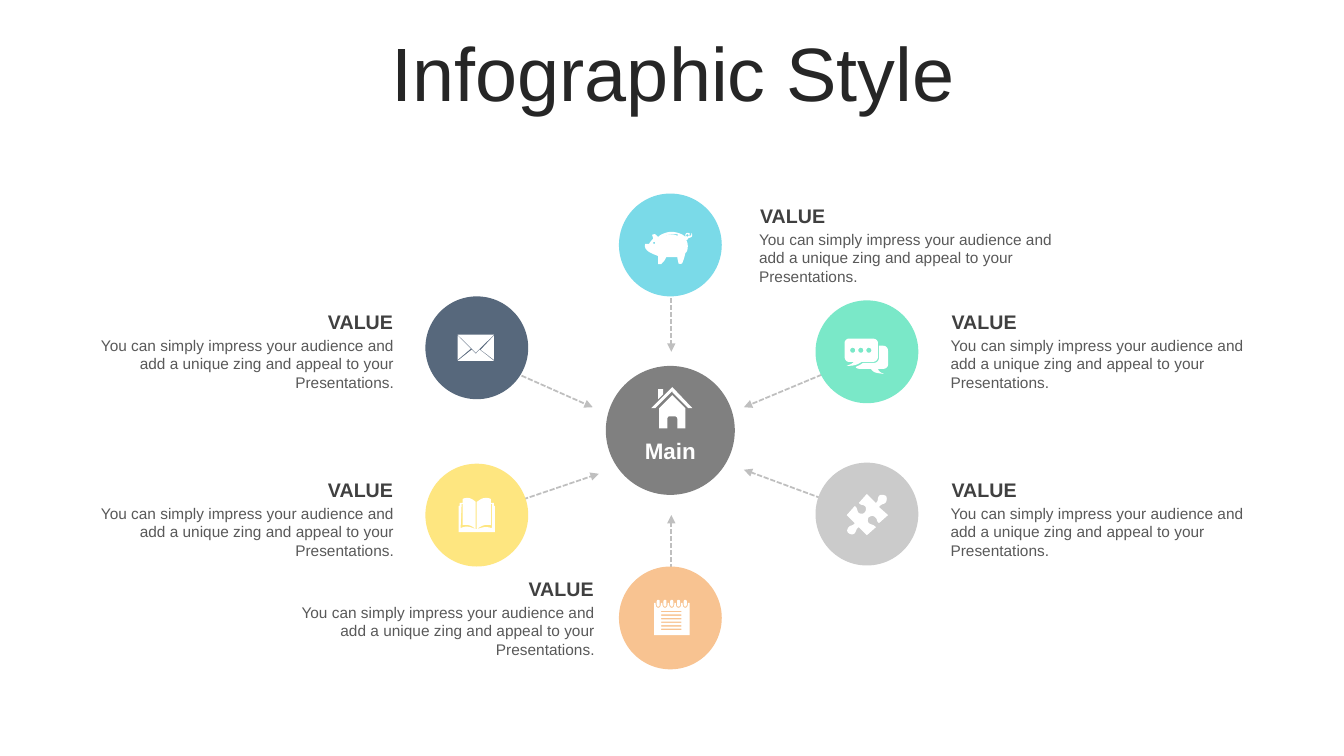
from lxml import etree
from pptx import Presentation, util as u
from pptx.dml.color import RGBColor
from pptx.enum import dml, shapes, text
from pptx.oxml.ns import qn

# Grid: square cells of a tenth of an inch
CELL = u.Inches(0.1)
COLS, ROWS = 133.33, 75
DISC, HUB = 10.2, 12.8
NOTE = ("You can simply impress your audience and add a unique zing "
        "and appeal to your Presentations.")
LEFT, MID, RIGHT = text.PP_ALIGN.LEFT, text.PP_ALIGN.CENTER, text.PP_ALIGN.RIGHT


def cells(*nums):
    return [round(n * CELL) for n in nums]


def hue(code):
    return RGBColor.from_string(code)


def paint(shape, code):
    shape.shadow.inherit = False
    shape.fill.solid()
    shape.fill.fore_color.rgb = hue(code)
    shape.line.fill.background()


def style(para, size, code, bold=False, align=LEFT):
    para.alignment = align
    font = para.font
    font.name, font.size, font.bold = "Arial", u.Pt(size), bold
    font.color.rgb = hue(code)


def write(slide, box, words, **form):
    frame = slide.shapes.add_textbox(*cells(*box)).text_frame
    frame.margin_left = frame.margin_right = 0
    frame.margin_top = frame.margin_bottom = 0
    frame.word_wrap = True
    frame.auto_size = text.MSO_AUTO_SIZE.SHAPE_TO_FIT_TEXT
    frame.text = words
    style(frame.paragraphs[0], **form)


def disc(slide, left, top, size, code):
    oval = slide.shapes.add_shape(shapes.MSO_SHAPE.OVAL,
                                  *cells(left, top, size, size))
    paint(oval, code)


# Icon outlines: M starts a closed loop, L is a line, C is a curve;
# units are tenths of a cell
def ring(x, y, r):
    k = 0.55 * r
    return (f"M {x - r} {y} C {x - r} {y - k} {x - k} {y - r} {x} {y - r} "
            f"{x + k} {y - r} {x + r} {y - k} {x + r} {y} "
            f"{x + r} {y + k} {x + k} {y + r} {x} {y + r} "
            f"{x - k} {y + r} {x - r} {y + k} {x - r} {y} ")


def notepad():
    sheet, rest = "M 0 3 ", ""
    for i in range(5):
        mid = 4 + 6.7 * i
        a, b, c, d = mid - 2.5, mid + 2.5, mid - 1.5, mid + 1.5
        sheet += f"L {a} 3 {a} 5 C {a} 9 {b} 9 {b} 5 L {b} 3 "
        rest += (f"M {c} 1.5 C {c} -0.5 {d} -0.5 {d} 1.5 "
                 f"L {d} 5 C {d} 7.5 {c} 7.5 {c} 5 ")
    for i in range(6):
        y = 11 + 3.55 * i
        rest += f"M 7 {y} L 27 {y} 27 {y + 1.4} 7 {y + 1.4} "
    return sheet + "L 35 3 35 35 0 35 " + rest


MAIL = ("M 22 15 L 36 26 0 26 14 15 18 19 M 36 1 L 36 25 23 15 "
        "M 0 1 L 13 14 0 25 M 0 0 L 36 0 18 18")
HOUSE = ("M 21 8 L 34 21 34 41 26 41 26 32 C 26 30 25 29 23 29 L 18 29 "
         "C 17 29 16 30 16 32 L 16 41 8 41 8 21 M 7 2 L 12 2 12 7 7 12 "
         "M 21 0 L 41 21 37 21 21 5 M 21 0 L 21 4 4 21 0 21")
CHAT = ("M 34 7 L 38 7 C 41 7 43 9 43 12 L 43 26 C 43 28 41 30 38 30 "
        "L 33 30 C 34 32 34 33 39 35 31 34 29 34 26 30 L 15 30 "
        "C 13 30 11 29 11 28 13 27 16 26 18 24 L 29 24 "
        "C 32 24 34 22 34 19 M 4 0 L 28 0 C 31 0 33 2 33 4 L 33 18 "
        "C 33 21 31 23 28 23 L 17 23 C 12 26 10 27 2 27 7 25 7 25 9 23 "
        "L 4 23 C 2 23 0 21 0 18 L 0 4 C 0 2 2 0 4 0 "
        + "".join(ring(x, 11.5, 2.5) for x in (8, 16, 24)))
BOOK = ("M 17 31 L 18 31 C 24 29 27 28 33 30 L 33 6 32 6 32 27 "
        "C 27 26 23 27 18 31 L 18 4 C 21 2 23 0 27 0 28 0 30 0 32 1 "
        "L 32 5 35 5 35 8 36 8 36 34 0 34 0 8 1 8 1 5 4 5 4 1 "
        "C 6 0 8 0 9 0 12 0 15 2 17 4 L 17 31 C 13 27 8 26 4 27 "
        "L 4 6 3 6 2 30 C 8 27 12 29 17 31")
PUZZLE = ("M 39 2 C 40 4 40 6 39 8 37 11 35 9 32 13 L 41 21 32 29 "
          "C 29 27 31 25 28 23 26 21 24 22 22 23 21 24 20 27 22 29 "
          "25 31 26 30 29 33 L 20 41 12 33 C 9 35 10 36 8 39 "
          "6 41 3 40 2 39 0 38 0 35 2 33 3 31 6 32 8 29 L 0 21 8 12 "
          "C 11 14 10 17 12 19 14 20 17 20 18 18 19 17 20 14 18 12 "
          "15 10 15 12 12 9 L 20 0 29 9 C 32 6 30 5 32 2 34 0 37 1 39 2")
PIG = ("M 26 0 C 31 0 37 2 40 5 L 41 6 C 40 5 40 5 40 3 40 2 41 1 42 1 "
       "44 1 45 2 44 3 L 44 4 C 45 4 46 4 46 1 48 4 46 6 43 6 "
       "43 7 42 8 41 8 L 42 11 C 43 15 42 20 40 21 39 26 38 28 37 31 "
       "37 32 33 32 33 31 33 29 32 27 32 25 28 25 23 25 21 25 "
       "20 28 18 30 16 32 L 13 32 13 24 C 8 22 -2 19 0 12 L 4 12 "
       "C 5 10 6 9 8 7 8 6 7 3 7 3 11 1 11 4 13 5 16 2 22 0 26 0 "
       "M 27 2 C 24 2 22 3 20 4 L 21 4 C 24 2 29 2 32 4 L 33 3 "
       "C 31 2 29 2 27 2 " + ring(9, 11, 1) + ring(42, 3.5, 1.2))


def loops(path, steps=8):
    found, nums, kind = [], [], "M"
    for tok in path.split():
        if tok in "MLC":
            kind = tok
            continue
        nums.append(float(tok))
        if len(nums) < (6 if kind == "C" else 2):
            continue
        pts, nums = list(zip(nums[::2], nums[1::2])), []
        if kind == "M":
            found.append(pts)
        elif kind == "L":
            found[-1] += pts
        else:
            ends = [found[-1][-1]] + pts
            for i in range(1, steps + 1):
                t = i / steps
                mix = ((1 - t) ** 3, 3 * t * (1 - t) ** 2,
                       3 * t * t * (1 - t), t ** 3)
                found[-1].append(tuple(sum(m * p[k] for m, p in zip(mix, ends))
                                       for k in (0, 1)))
    return [[(x * 100, y * 100) for x, y in loop] for loop in found]


def icon(slide, left, top, path):
    first, *others = loops(path)
    pen = slide.shapes.build_freeform(*first[0], scale=CELL / 1000)
    pen.add_line_segments(first[1:], close=True)
    for loop in others:
        pen.move_to(*loop[0])
        pen.add_line_segments(loop[1:], close=True)
    paint(pen.convert_to_shape(*cells(left, top)), "FFFFFF")


def arrow(slide, ends):
    link = slide.shapes.add_connector(shapes.MSO_CONNECTOR.STRAIGHT, *cells(*ends))
    link.line.color.rgb = hue("BFBFBF")
    link.line.width = u.Pt(1.25)
    link.line.dash_style = dml.MSO_LINE.SQUARE_DOT
    etree.SubElement(link.line._get_or_add_ln(), qn("a:tailEnd"), type="triangle")
    etree.SubElement(link._element.spPr, qn("a:effectLst"))


def head(slide, box):
    title = slide.shapes.title
    title.left, title.top, title.width, title.height = cells(*box)
    frame = title.text_frame
    frame.text = "Infographic Style"
    frame.auto_size = text.MSO_AUTO_SIZE.NONE
    frame.vertical_anchor = text.MSO_ANCHOR.MIDDLE
    frame.paragraphs[0].line_spacing = 0.9
    style(frame.paragraphs[0], 54, "262626", align=MID)


def hub(slide, left, top):
    disc(slide, left, top, HUB, "808080")
    icon(slide, left + 4.5, top + 2.1, HOUSE)
    write(slide, (left, top + 7.1, HUB, 2.7), "Main",
          size=16, code="FFFFFF", bold=True, align=MID)


def value(slide, left, top, width, align):
    write(slide, (left, top + 2.6, width, 3.7), NOTE,
          size=11, code="595959", align=align)
    write(slide, (left + 0.1, top, width - 0.2, 2.4), "VALUE",
          size=14, code="404040", bold=True, align=align)


# Each spoke: arrow ends, disc corner and colour, icon offset, text box
SPOKES = [
    ((66.6, 27.5, 66.6, 34.9), (61.4, 19.2), "7ADAE8", (2.6, 3.8), PIG,
     (75.3, 20.2, 31.1, LEFT)),
    ((86, 35.3, 73.8, 40.4), (80.9, 29.8), "7AE8C8", (2.9, 3.8), CHAT,
     (94.3, 30.7, 29.6, LEFT)),
    ((86, 51.1, 73.8, 46.6), (80.9, 45.9), "CBCBCB", (3.1, 3.1), PUZZLE,
     (94.3, 47.4, 29.6, LEFT)),
    ((66.6, 61.3, 66.6, 51.1), (61.4, 56.2), "F8C391", (3.5, 3.3), notepad(),
     (29.5, 57.2, 29.5, RIGHT)),
    ((47.3, 51.1, 59.4, 47), (42.2, 46), "FEE680", (3.3, 3.4), BOOK,
     (9.5, 47.4, 29.6, RIGHT)),
    ((47.3, 35.3, 58.8, 40.4), (42.2, 29.4), "57687C", (3.2, 3.8), MAIL,
     (9.5, 30.7, 29.6, RIGHT)),
]


def spoke(slide, ends, spot, code, shift, path, note):
    arrow(slide, ends)
    disc(slide, *spot, DISC, code)
    icon(slide, spot[0] + shift[0], spot[1] + shift[1], path)
    value(slide, *note)


def main():
    deck = Presentation()
    deck.slide_width, deck.slide_height = cells(COLS, ROWS)
    slide = deck.slides.add_slide(deck.slide_layouts[5])
    head(slide, (3.5, 3.7, 126.6, 7.9))
    for parts in SPOKES:
        spoke(slide, *parts)
    hub(slide, 60.1, 36.3)
    deck.save("out.pptx")


if __name__ == "__main__":
    main()
